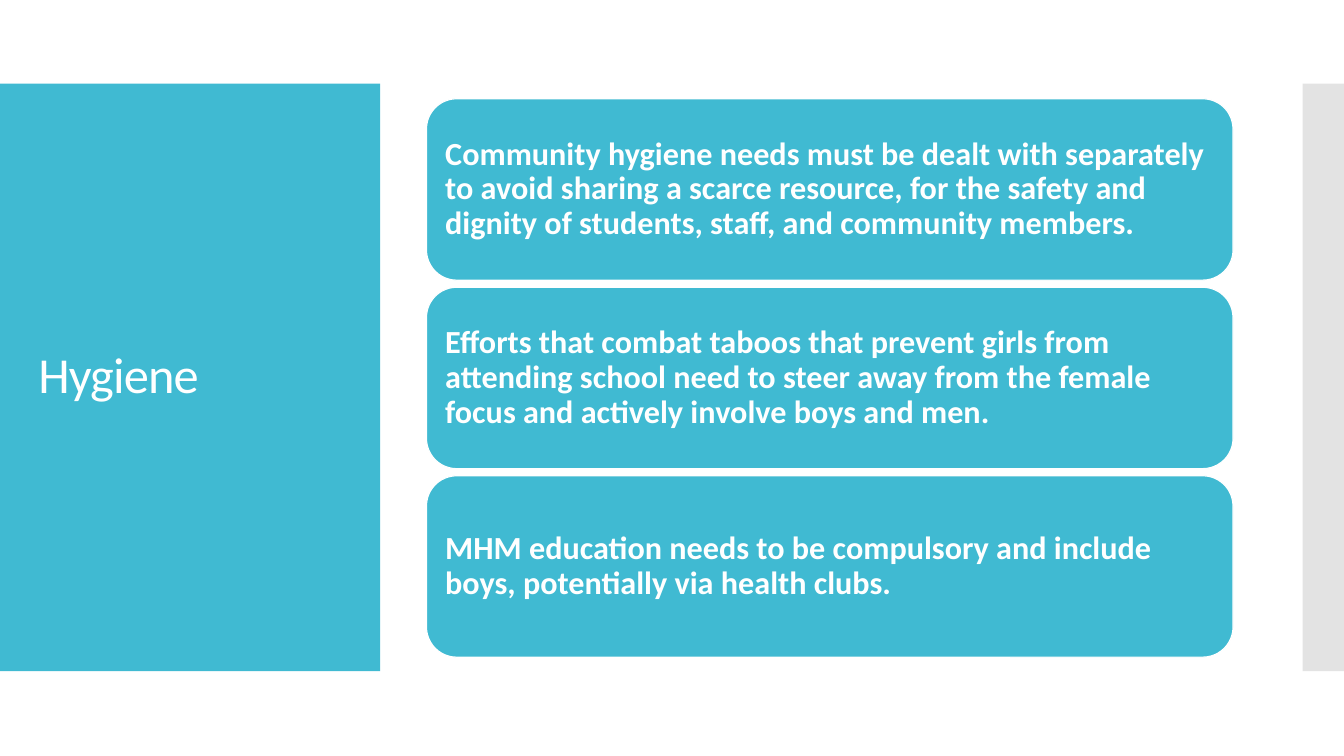
from dataclasses import dataclass

from lxml import etree
from pptx import Presentation
from pptx.dml.color import RGBColor
from pptx.enum.shapes import MSO_SHAPE
from pptx.enum.text import MSO_ANCHOR, MSO_AUTO_SIZE, PP_ALIGN
from pptx.oxml.ns import qn
from pptx.util import Inches, Pt

RECT = MSO_SHAPE.RECTANGLE
ROUNDED = MSO_SHAPE.ROUNDED_RECTANGLE
MIDDLE = MSO_ANCHOR.MIDDLE
LEFT = PP_ALIGN.LEFT
NO_FIT = MSO_AUTO_SIZE.NONE

FONT = "Calibri"
TEAL, GREY, WHITE = "40BAD2", "C8C8C8", "FFFFFF"
CARD_TOP, CARD_HEIGHT, CARD_PITCH = 0.98, 1.8, 1.87

CARD_TEXTS = [
    "Community hygiene needs must be dealt with separately to avoid sharing "
    "a scarce resource, for the safety and dignity of students, staff, and "
    "community members.",
    "Efforts that combat taboos that prevent girls from attending school need "
    "to steer away from the female focus and actively involve boys and men.",
    "MHM education needs to be compulsory and include boys, potentially via "
    "health clubs.",
]


@dataclass
class Box:
    left: float
    top: float
    width: float
    height: float
    fill: str
    kind: int = RECT


def rgb(value: str) -> RGBColor:
    return RGBColor.from_string(value)


def add_box(slide, box: Box):
    sp = slide.shapes.add_shape(box.kind, Inches(box.left), Inches(box.top),
                                Inches(box.width), Inches(box.height))
    sp.shadow.inherit = False
    sp.fill.solid()
    sp.fill.fore_color.rgb = rgb(box.fill)
    sp.line.fill.background()
    return sp


def set_text(sp, text: str, size: float, bold: bool):
    tf = sp.text_frame
    tf.text = text
    tf.word_wrap = True
    tf.auto_size = NO_FIT
    tf.vertical_anchor = MIDDLE
    tf.margin_left = tf.margin_right = Inches(0.1)
    p = tf.paragraphs[0]
    p.alignment = LEFT
    p.line_spacing = 0.9
    r = p.runs[0]
    r.font.name = FONT
    r.font.size = Pt(size)
    r.font.bold = bold
    r.font.color.rgb = rgb(WHITE)
    return r


def add_card(slide, index: int, text: str) -> None:
    sp = add_box(slide, Box(4.23, CARD_TOP + index * CARD_PITCH, 8, CARD_HEIGHT,
                            TEAL, ROUNDED))
    sp.line.color.rgb = rgb(WHITE)
    sp.line.width = Pt(0.85)
    set_text(sp, text, 23, True)


def main() -> None:
    prs = Presentation()
    prs.slide_width, prs.slide_height = Inches(13.33), Inches(7.5)
    slide = prs.slides.add_slide(prs.slide_layouts[5])

    # Side panels, placed behind the title
    title = slide.shapes.title
    panel = add_box(slide, Box(0, 0.83, 3.77, 5.83, TEAL))
    strip = add_box(slide, Box(12.92, 0.83, 0.41, 5.83, GREY))
    for sp in (panel, strip):
        title.element.addprevious(sp.element)
    strip_color = strip.element.spPr.find(f".//{qn('a:srgbClr')}")
    etree.SubElement(strip_color, qn("a:alpha"), val="50000")

    # Title
    title.left, title.top = Inches(0.28), Inches(1.23)
    title.width, title.height = Inches(3.22), Inches(5.03)
    r = set_text(title, "Hygiene", 36, False)
    r.font._element.set("spc", "-60")

    # Cards
    for index, text in enumerate(CARD_TEXTS):
        add_card(slide, index, text)

    prs.save("out.pptx")


if __name__ == "__main__":
    main()
